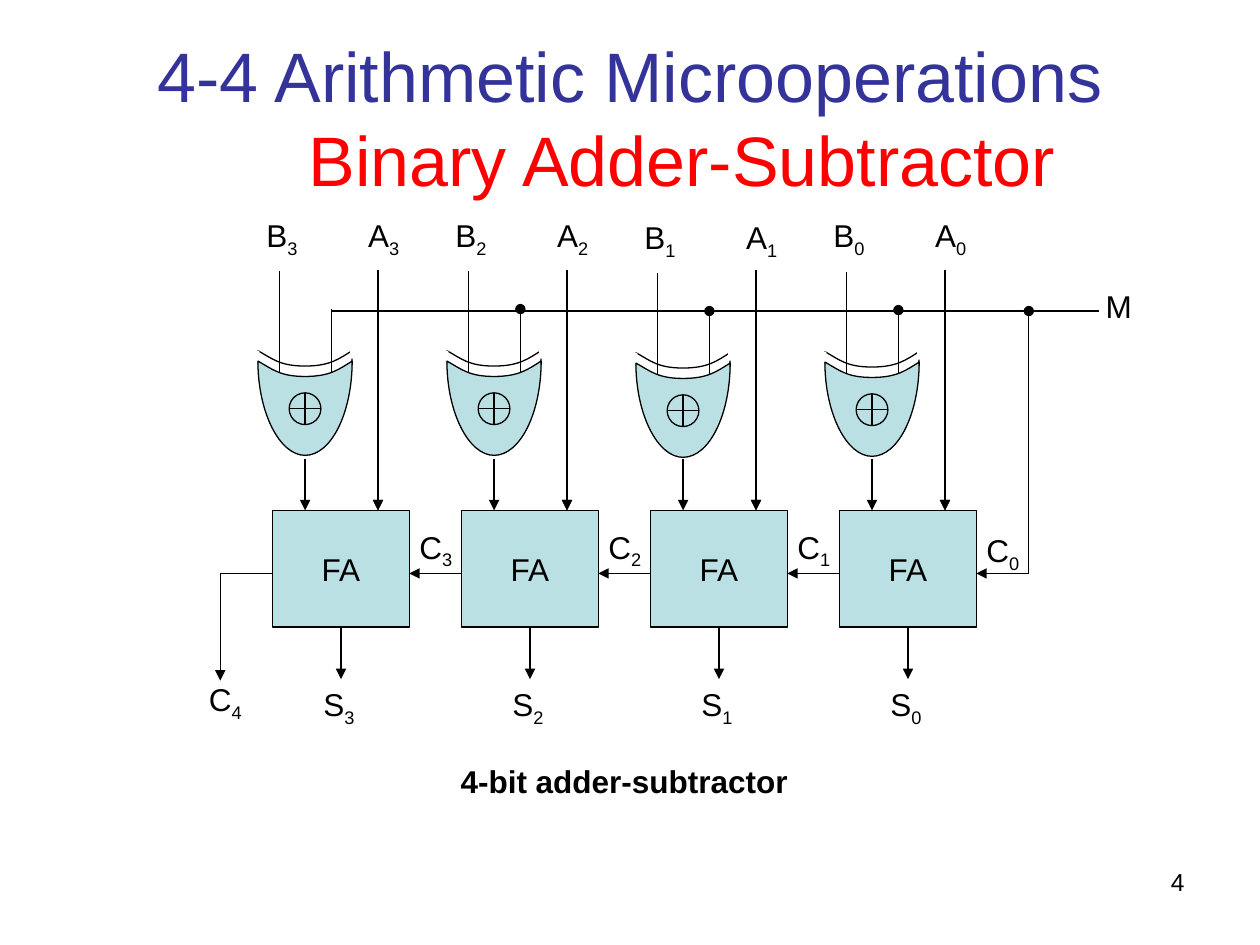
from lxml import etree
from pptx import Presentation
from pptx.dml.color import RGBColor
from pptx.enum.shapes import MSO_CONNECTOR, MSO_SHAPE
from pptx.enum.text import MSO_ANCHOR, MSO_AUTO_SIZE, PP_ALIGN
from pptx.oxml.ns import qn
from pptx.util import Cm, Pt

STRAIGHT = MSO_CONNECTOR.STRAIGHT
RECTANGLE, XOR_SIGN = MSO_SHAPE.RECTANGLE, MSO_SHAPE.FLOWCHART_OR
CENTER, RIGHT = PP_ALIGN.CENTER, PP_ALIGN.RIGHT
MIDDLE, NO_AUTOFIT = MSO_ANCHOR.MIDDLE, MSO_AUTO_SIZE.NONE
BOTTOM_SITE = 2

COLORS = {"ink": "000000", "fill": "BBE0E3", "cover": "FFFFFF",
          "title": "333399", "accent": "FF0000"}
FONT = "Arial"
STAGE_LEFT, STAGE_PITCH = 5.5, 3.81
ADDER_TOP, ADDER_WIDTH, ADDER_HEIGHT = 10.29, 2.75, 2.35
BUS_Y, CARRY_Y, LABEL_TOP, CARRY_TOP = 6.27, 11.56, 4.24, 10.51
GATE_TOP, REAR_GAP = 7.28, 0.21
GATE_DROPS = {3: 0, 2: 0, 1: 0.04, 0: 0.02}
GATE_OUTLINE = [
    (-0.95, 0),
    (-0.66, 0.16), (-0.51, 0.31), (0, 0.31),
    (0.51, 0.31), (0.69, 0.16), (0.95, 0),
    (0.95, 1.04), (0.53, 1.9), (0, 1.9),
    (-0.51, 1.9), (-0.95, 1.04), (-0.95, 0),
]


def color(name):
    """Return the named colour."""
    return RGBColor.from_string(COLORS[name])


def set_font(font, size, color_name="ink", bold=False):
    """Format a font."""
    font.name, font.size, font.bold = FONT, Pt(size), bold
    font.color.rgb = color(color_name)


def style_shape(shape, fill="fill", outlined=True):
    """Give a shape an optional fill and an optional thin outline."""
    shape.shadow.inherit = False
    if outlined:
        shape.line.color.rgb = color("ink")
        shape.line.width = Pt(0.75)
    else:
        shape.line.fill.background()
    if fill:
        shape.fill.solid()
        shape.fill.fore_color.rgb = color(fill)
    else:
        shape.fill.background()


def add_preset(page, kind, left, top, width, height):
    """Add a preset shape at the given place."""
    return page.shapes.add_shape(kind, Cm(left), Cm(top), Cm(width), Cm(height))


def add_label(page, text, left, top, width=1.47, height=1.12,
              subscript="", size=18, bold=False, align=CENTER):
    """Add a text label with an optional subscript."""
    box = page.shapes.add_textbox(Cm(left), Cm(top), Cm(width), Cm(height))
    box.text_frame.word_wrap = True
    para = box.text_frame.paragraphs[0]
    para.alignment = align
    set_font(para.font, size, bold=bold)
    para.add_run().text = text
    if subscript:
        span = para.add_run()
        span.text = subscript
        span.font._element.set("baseline", "-25000")


def add_wire(page, start, end, tip=None):
    """Add a straight wire with an optional tip at its end."""
    wire = page.shapes.add_connector(STRAIGHT, *(Cm(v) for v in (*start, *end)))
    wire.line.color.rgb = color("ink")
    wire.line.width = Pt(0.75)
    if tip:
        etree.SubElement(wire.line._get_or_add_ln(), qn("a:tailEnd"), type=tip)
    etree.SubElement(wire._element.spPr, qn("a:effectLst"))
    return wire


def add_gate_outline(page, center, top, fill):
    """Add a closed gate outline made of cubic curves."""
    points = [(Cm(center + x), Cm(top + y)) for x, y in GATE_OUTLINE]
    builder = page.shapes.build_freeform(*points[0], scale=1.0)
    builder.add_line_segments(points[1:], close=True)
    outline = builder.convert_to_shape()
    segments = list(outline._element.iter(qn("a:lnTo")))
    for first in range(0, len(segments), 3):
        curve = etree.Element(qn("a:cubicBezTo"))
        segments[first].addprevious(curve)
        for segment in segments[first:first + 3]:
            curve.append(segment[0])
            segment.getparent().remove(segment)
    style_shape(outline, fill)


def add_xor_gate(page, center, top):
    """Add an XOR gate that points down."""
    rear_top = top - REAR_GAP
    add_gate_outline(page, center, rear_top, None)
    add_gate_outline(page, center, top, "fill")
    for dx, dy, width in ((-1.12, 0, 0.2), (0.91, -0.04, 0.23)):
        cover = add_preset(page, RECTANGLE, center + dx, rear_top + dy, width, 0.2)
        style_shape(cover, "cover", outlined=False)
    style_shape(add_preset(page, XOR_SIGN, center - 0.32, top + 0.64, 0.64, 0.64))


def add_adder(page, left):
    """Add a full adder box and its sum output."""
    box = add_preset(page, RECTANGLE, left, ADDER_TOP, ADDER_WIDTH, ADDER_HEIGHT)
    style_shape(box)
    box.text_frame.vertical_anchor = MIDDLE
    para = box.text_frame.paragraphs[0]
    para.text, para.alignment = "FA", CENTER
    set_font(para.font, 18)
    center = left + ADDER_WIDTH / 2
    output = add_wire(page, (center, ADDER_TOP + ADDER_HEIGHT), (center, 13.69), "triangle")
    output.begin_connect(box, BOTTOM_SITE)


def add_stage(page, left, bit):
    """Add one bit of the circuit with wires and labels."""
    gate, b_wire, tap, a_wire = (left + dx for dx in (0.65, 0.14, 1.18, 2.12))
    drop = GATE_DROPS[bit]
    add_adder(page, left)
    add_xor_gate(page, gate, GATE_TOP + drop)
    add_wire(page, (b_wire, 7.5 + drop), (b_wire, 5.47 + drop))
    add_wire(page, (tap, 7.5 + drop), (tap, 6.23 + drop), "oval" if bit < 3 else None)
    for x, top in ((gate, 9.25), (a_wire, 9.25), (a_wire, 5.44)):
        add_wire(page, (x, top), (x, ADDER_TOP), "triangle")
    add_wire(page, (left + STAGE_PITCH, CARRY_Y), (left + ADDER_WIDTH, CARRY_Y), "triangle")
    label_top = LABEL_TOP + (0.03 if bit == 1 else 0)
    carry_top = CARRY_TOP if bit else CARRY_TOP + 0.08
    for name, dx, top in (("B", -0.55, label_top), ("A", 1.5, label_top),
                          ("C", 2.55, carry_top), ("S", 0.6, 13.69)):
        add_label(page, name, left + dx, top, subscript=str(bit))


def add_mode_and_carry_out(page):
    """Add the mode bus, the first carry input and the last carry output."""
    mode_x = STAGE_LEFT + 4 * STAGE_PITCH
    carry_x = STAGE_LEFT - 1.06
    add_wire(page, (STAGE_LEFT + 1.18, BUS_Y), (22.15, BUS_Y))
    add_wire(page, (mode_x, CARRY_Y), (mode_x, BUS_Y), "oval")
    add_label(page, "M", 21.92, 5.66, 1.27, 1.02)
    add_wire(page, (STAGE_LEFT, CARRY_Y), (carry_x, CARRY_Y))
    add_wire(page, (carry_x, CARRY_Y), (carry_x, 13.72), "triangle")
    add_label(page, "C", 3.81, 13.59, subscript="4")


def fill_title(page):
    """Place and format the two-colour title."""
    title = page.shapes.title
    title.left, title.top, title.width, title.height = Cm(1.27), Cm(0.76), Cm(22.86), Cm(3.18)
    frame = title.text_frame
    frame.word_wrap, frame.auto_size, frame.vertical_anchor = True, NO_AUTOFIT, MIDDLE
    para = frame.paragraphs[0]
    para.alignment, para.line_spacing = CENTER, Pt(48)
    properties = para._p.get_or_add_pPr()
    properties.set("marL", str(Cm(2.08)))
    properties.set("indent", str(Cm(-2.08)))
    for text, name in (("4-4 Arithmetic Microoperations ", "title"),
                       ("Binary Adder-Subtractor", "accent")):
        span = para.add_run()
        span.text = text
        set_font(span.font, 40, name)


def main():
    """Build the slide and save the deck."""
    deck = Presentation()
    deck.slide_width, deck.slide_height = Cm(25.4), Cm(19.05)
    page = deck.slides.add_slide(deck.slide_layouts[5])
    fill_title(page)
    for index, bit in enumerate((3, 2, 1, 0)):
        add_stage(page, STAGE_LEFT + index * STAGE_PITCH, bit)
    add_mode_and_carry_out(page)
    add_label(page, "4-bit adder-subtractor", 7.82, 15.24, 9.53, 1.02, bold=True)
    add_label(page, "4", 18.21, 17.35, 5.92, 1.32, size=14, align=RIGHT)
    deck.save("out.pptx")


if __name__ == "__main__":
    main()
